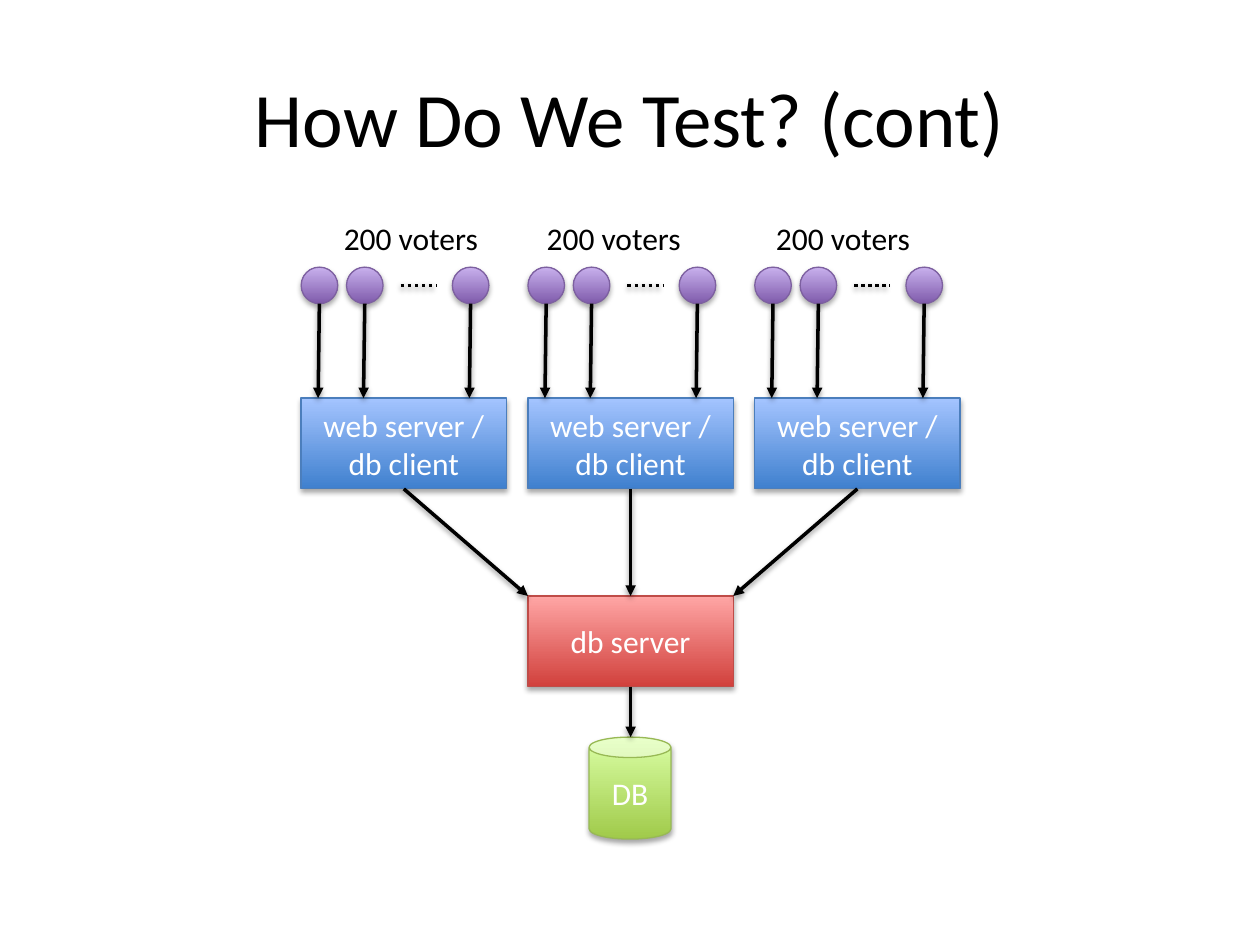
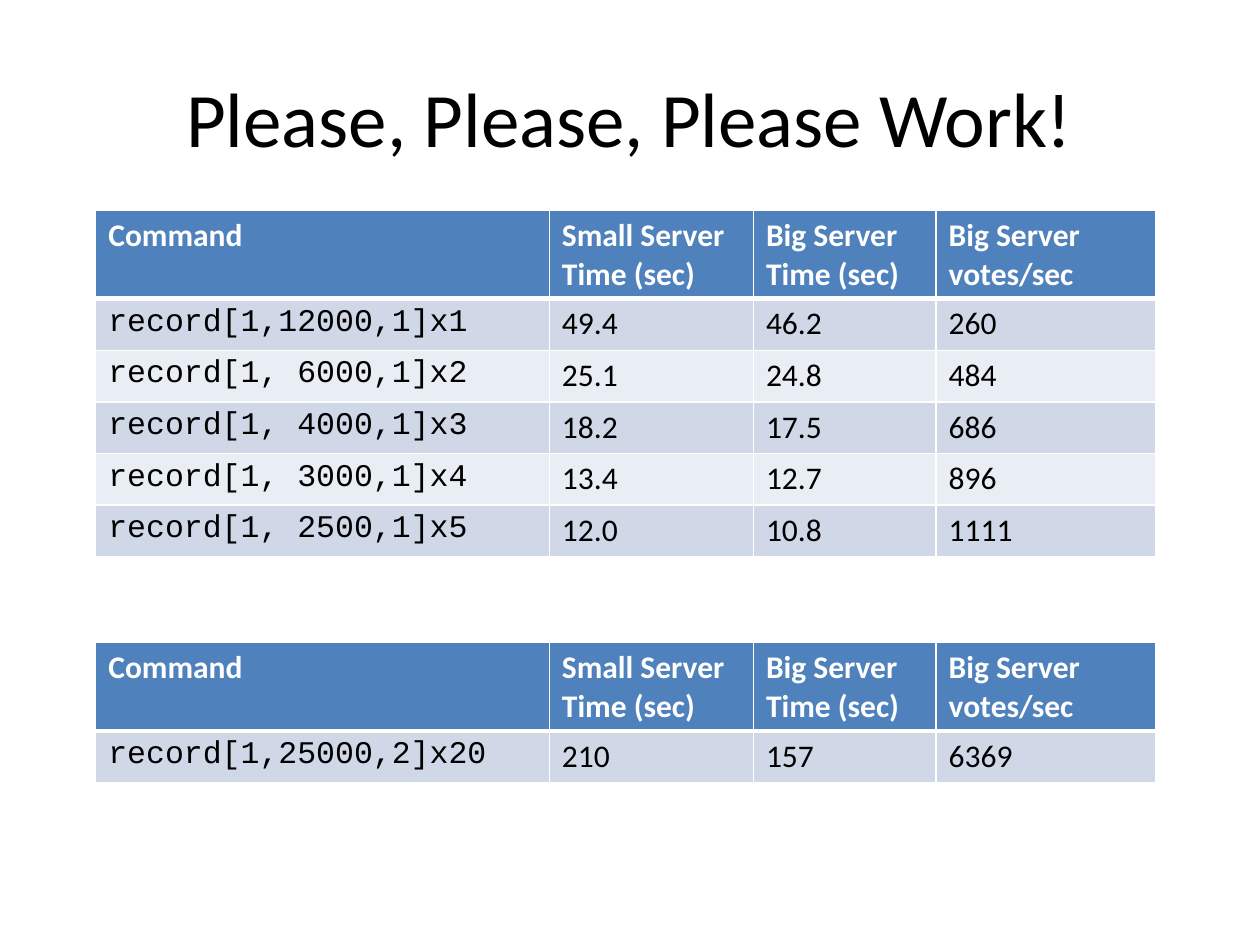
from dataclasses import dataclass

from lxml import etree
from pptx import Presentation
from pptx.dml.color import RGBColor
from pptx.enum import dml, shapes, text
from pptx.oxml.ns import qn
from pptx.util import Inches, Pt


@dataclass(frozen=True)
class Theme:
    # Fonts and type sizes
    font: str = "Calibri"
    mono: str = "Courier New"
    title_size: int = 44
    body_size: int = 18
    # Plain colours
    ink: str = "000000"
    white: str = "FFFFFF"
    header: str = "4F81BD"
    bands: tuple = ("D0D8E8", "E9EDF4")
    # Shape styles: bottom colour, top colour, outline
    blue: tuple = ("3F80CE", "A4C4FF", "4B7EBC")
    red: tuple = ("D1403C", "FFA6A5", "BF4C48")
    purple: tuple = ("7F5BAB", "C8B0ED", "7D60A0")
    green: tuple = ("A0CA4A", "DAFFA5", "98B955")
    # Line widths in points
    outline: float = 0.75
    stroke: float = 2
    border: float = 1
    header_border: float = 3


def rgb(value):
    return RGBColor.from_string(value)


def add_shadow(sp, distance, opacity):
    effects = etree.SubElement(sp.element.spPr, qn("a:effectLst"))
    shadow = etree.SubElement(
        effects, qn("a:outerShdw"), blurRad=str(Pt(3.1)), dist=str(Pt(distance)),
        dir="5400000", rotWithShape="0")
    color = etree.SubElement(shadow, qn("a:srgbClr"), val="000000")
    etree.SubElement(color, qn("a:alpha"), val=str(opacity * 1000))


def add_border(cell, side, width, color):
    line = etree.SubElement(
        cell._tc.get_or_add_tcPr(), qn(f"a:ln{side}"), w=str(Pt(width)))
    fill = etree.SubElement(line, qn("a:solidFill"))
    etree.SubElement(fill, qn("a:srgbClr"), val=color)


class Deck:
    def __init__(self, theme):
        self.theme = theme
        self.prs = Presentation()
        self.prs.slide_width, self.prs.slide_height = Inches(10), Inches(7.5)
        self.slide = None

    def new_slide(self, title):
        self.slide = self.prs.slides.add_slide(self.prs.slide_layouts[6])
        tf = self.text_box(0.5, 0.3, 9, 1.25, title, self.theme.title_size,
                           text.PP_ALIGN.CENTER)
        tf.vertical_anchor = text.MSO_ANCHOR.MIDDLE

    def add_text(self, tf, content, color, size=None, align=None, font=None, bold=False):
        for i, line in enumerate(content.split("\n")):
            p = tf.add_paragraph() if i else tf.paragraphs[0]
            p.alignment = align
            r = p.add_run()
            r.text = line
            r.font.name = font or self.theme.font
            r.font.size = Pt(size or self.theme.body_size)
            r.font.bold = bold
            r.font.color.rgb = rgb(color)

    def text_box(self, x, y, w, h, content, size=None, align=None):
        sp = self.slide.shapes.add_textbox(Inches(x), Inches(y), Inches(w), Inches(h))
        tf = sp.text_frame
        tf.word_wrap = True
        self.add_text(tf, content, self.theme.ink, size, align)
        return tf

    def label(self, x, y, w, h, content):
        tf = self.text_box(x, y, w, h, content)
        tf.word_wrap = False
        tf.auto_size = text.MSO_AUTO_SIZE.SHAPE_TO_FIT_TEXT

    def shape(self, kind, x, y, w, h, style, content=""):
        sp = self.slide.shapes.add_shape(
            kind, Inches(x), Inches(y), Inches(w), Inches(h))
        bottom, top, outline = style
        sp.fill.gradient()
        sp.fill.gradient_angle = 90
        for stop, color in zip(sp.fill.gradient_stops, (bottom, top)):
            stop.color.rgb = rgb(color)
        sp.line.color.rgb = rgb(outline)
        sp.line.width = Pt(self.theme.outline)
        add_shadow(sp, 1.8, 35)
        if content:
            sp.text_frame.vertical_anchor = text.MSO_ANCHOR.MIDDLE
            self.add_text(sp.text_frame, content, self.theme.white,
                          align=text.PP_ALIGN.CENTER)

    def line(self, x1, y1, x2, y2, dotted=False):
        cn = self.slide.shapes.add_connector(
            shapes.MSO_CONNECTOR.STRAIGHT,
            Inches(x1), Inches(y1), Inches(x2), Inches(y2))
        cn.line.color.rgb = rgb(self.theme.ink)
        cn.line.width = Pt(self.theme.stroke)
        if dotted:
            cn.line.dash_style = dml.MSO_LINE.ROUND_DOT
        else:
            etree.SubElement(cn.element.spPr.find(qn("a:ln")), qn("a:tailEnd"),
                             type="triangle")
        add_shadow(cn, 1.6, 38)

    def table(self, x, y, widths, header_h, row_h, rows):
        t = self.theme
        heights = [header_h] + [row_h] * (len(rows) - 1)
        table = self.slide.shapes.add_table(
            len(rows), len(widths), Inches(x), Inches(y),
            Inches(sum(widths)), Inches(sum(heights))).table
        for column, width in zip(table.columns, widths):
            column.width = Inches(width)
        for i, (values, height) in enumerate(zip(rows, heights)):
            table.rows[i].height = Inches(height)
            is_header = i == 0
            for j, value in enumerate(values):
                cell = table.cell(i, j)
                for side in "LRTB":
                    thick = (i, side) in ((0, "B"), (1, "T"))
                    add_border(cell, side, t.header_border if thick else t.border,
                               t.white)
                cell.fill.solid()
                cell.fill.fore_color.rgb = rgb(
                    t.header if is_header else t.bands[(i - 1) % 2])
                self.add_text(cell.text_frame, value, t.white if is_header else t.ink,
                              font=t.mono if j == 0 and not is_header else t.font,
                              bold=is_header)


theme = Theme()
deck = Deck(theme)
SHAPE = shapes.MSO_SHAPE

# Slide 1: test setup diagram
deck.new_slide("How Do We Test? (cont)")
BOX_W, BOX_H = 1.63, 0.72
COLUMNS = [2.39 + 1.8 * i for i in range(3)]
SERVER_Y, DB_SERVER_Y, DB_Y = 3.16, 4.73, 5.85
VOTER_Y, VOTER_D = 2.12, 0.29
db_left = COLUMNS[1]
center = db_left + BOX_W / 2

# Servers and database
for x in COLUMNS:
    deck.shape(SHAPE.RECTANGLE, x, SERVER_Y, BOX_W, BOX_H, theme.blue,
               "web server /\ndb client")
deck.shape(SHAPE.RECTANGLE, db_left, DB_SERVER_Y, BOX_W, BOX_H, theme.red, "db server")
deck.shape(SHAPE.CAN, center - 0.33, DB_Y, 0.65, 0.81, theme.green, "DB")

# Voters above each web server
for x, label_x in zip(COLUMNS, (2.63, 4.24, 6.06)):
    deck.label(label_x, 1.69, 1.29, 0.4, "200 voters")
    for offset in (0, 0.36, 1.2):
        deck.shape(SHAPE.OVAL, x + offset, VOTER_Y, VOTER_D, VOTER_D, theme.purple)
        voter_x = x + offset + VOTER_D / 2
        deck.line(voter_x, VOTER_Y + VOTER_D, voter_x - 0.01, SERVER_Y)
    dots_y = VOTER_Y + VOTER_D / 2
    deck.line(x + 0.79, dots_y, x + 1.07, dots_y, dotted=True)

# Arrows down to the database
for x, target_x in zip(COLUMNS, (db_left, center, db_left + BOX_W)):
    deck.line(x + BOX_W / 2, SERVER_Y + BOX_H, target_x, DB_SERVER_Y)
deck.line(center, DB_SERVER_Y + BOX_H, center, DB_Y)

# Slide 2: result tables
deck.new_slide("Please, Please, Please Work!")
HEADER = ("Command", "Small Server\nTime (sec)", "Big Server\nTime (sec)",
          "Big Server\nvotes/sec")
RESULTS = [
    ("record[1,12000,1]x1", "49.4", "46.2", "260"),
    ("record[1, 6000,1]x2", "25.1", "24.8", "484"),
    ("record[1, 4000,1]x3", "18.2", "17.5", "686"),
    ("record[1, 3000,1]x4", "13.4", "12.7", "896"),
    ("record[1, 2500,1]x5", "12.0", "10.8", "1111"),
]
LARGE_RUN = [("record[1,25000,2]x20", "210", "157", "6369")]
for y, results in ((1.67, RESULTS), (5.1, LARGE_RUN)):
    deck.table(0.76, y, (3.6, 1.62, 1.45, 1.74), 0.7, 0.41, [HEADER] + results)

deck.prs.save("out.pptx")
